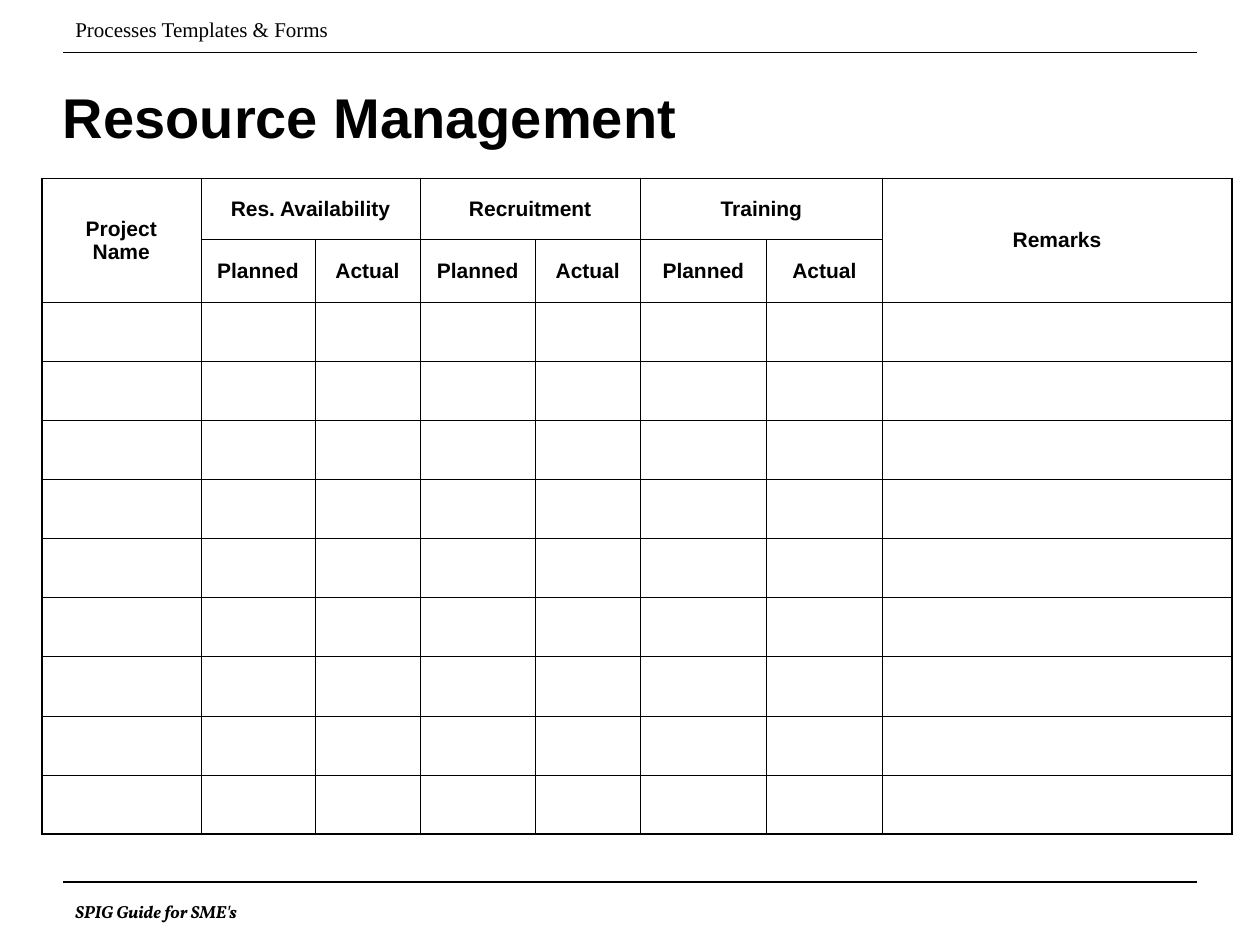
from lxml import etree
from pptx import Presentation
from pptx.dml.color import RGBColor
from pptx.enum.shapes import MSO_CONNECTOR
from pptx.enum.text import MSO_ANCHOR, PP_ALIGN
from pptx.oxml.ns import qn
from pptx.util import Cm, Pt

STRAIGHT = MSO_CONNECTOR.STRAIGHT
MIDDLE, TOP = MSO_ANCHOR.MIDDLE, MSO_ANCHOR.TOP
CENTER = PP_ALIGN.CENTER
COLORS = {"ink": "000000"}

# text, left, top, width, height (cm), font, size, bold, italic, margins (cm), anchor
TEXTS = [
    ("Processes Templates & Forms", 1.27, 0.2, 6.35, 0.76,
     "Times New Roman", 12, False, False, (0.25, 0.13), TOP),
    ("Resource Management", 1.27, 0.76, 22.86, 3.18,
     "Arial", 32, True, False, (0, 0), MIDDLE),
    ("SPIG Guide for SME's", 1.27, 18.03, 6.35, 0.69,
     "Vollkorn", 10, True, True, (0.25, 0.13), TOP),
]
RULE_LEFT, RULE_RIGHT = 1.27, 24.13
RULE_TOPS = [1.06, 17.78]

TABLE_LEFT, TABLE_TOP = 0.84, 3.6
COL_WIDTHS = [3.21, 2.3, 2.12, 2.32, 2.12, 2.54, 2.34, 7.04]
ROW_HEIGHTS = [1.23, 1.01] + [1.19] * 9
FIRST_HEADING, LAST_HEADING = "Project Name", "Remarks"
GROUPS = ["Res. Availability", "Recruitment", "Training"]
SUBHEADINGS = ["Planned", "Actual"]
THIN, THICK = 0.45, 1.08


def color(name):
    return RGBColor.from_string(COLORS[name])


def style(p, font, size, bold, italic=False):
    p.font.name, p.font.size = font, Pt(size)
    p.font.bold, p.font.italic = bold, italic
    p.font.color.rgb = color("ink")


def add_text(slide, text, left, top, width, height, font, size, bold, italic, margins, anchor):
    tf = slide.shapes.add_textbox(Cm(left), Cm(top), Cm(width), Cm(height)).text_frame
    tf.word_wrap = True
    tf.vertical_anchor = anchor
    tf.margin_left = tf.margin_right = Cm(margins[0])
    tf.margin_top = tf.margin_bottom = Cm(margins[1])
    tf.text = text
    style(tf.paragraphs[0], font, size, bold, italic)


def add_rule(slide, top):
    line = slide.shapes.add_connector(STRAIGHT, Cm(RULE_LEFT), Cm(top), Cm(RULE_RIGHT), Cm(top))
    line.line.color.rgb = color("ink")
    line.line.width = Pt(0.75)
    etree.SubElement(line._element.spPr, qn("a:effectLst"))


def set_borders(cell, widths):
    """Draw the left, right, top and bottom borders, widths in points."""
    tcPr = cell._tc.get_or_add_tcPr()
    for i, (side, width) in enumerate(zip("LRTB", widths)):
        ln = etree.Element(qn(f"a:ln{side}"), w=str(Pt(width)))
        fill = etree.SubElement(ln, qn("a:solidFill"))
        etree.SubElement(fill, qn("a:srgbClr"), val=COLORS["ink"])
        tcPr.insert(i, ln)


def set_heading(cell, text, last=None):
    if last is not None:
        cell.merge(last)
    cell.text = text
    p = cell.text_frame.paragraphs[0]
    p.alignment = CENTER
    style(p, "Arial", 12, True)


def add_resource_table(slide):
    n_rows, n_cols = len(ROW_HEIGHTS), len(COL_WIDTHS)
    table = slide.shapes.add_table(
        n_rows, n_cols, Cm(TABLE_LEFT), Cm(TABLE_TOP),
        Cm(sum(COL_WIDTHS)), Cm(sum(ROW_HEIGHTS))).table
    table.first_row = table.horz_banding = False
    for column, width in zip(table.columns, COL_WIDTHS):
        column.width = Cm(width)
    for row, height in zip(table.rows, ROW_HEIGHTS):
        row.height = Cm(height)

    for r in range(n_rows):
        for c in range(n_cols):
            cell = table.cell(r, c)
            cell.fill.background()
            cell.vertical_anchor = MIDDLE
            on_edge = (c == 0, c == n_cols - 1, r == 0, r == n_rows - 1)
            set_borders(cell, [THICK if edge else THIN for edge in on_edge])

    for c, text in ((0, FIRST_HEADING), (n_cols - 1, LAST_HEADING)):
        set_heading(table.cell(0, c), text, table.cell(1, c))
    span = len(SUBHEADINGS)
    for g, group in enumerate(GROUPS):
        start = 1 + g * span
        set_heading(table.cell(0, start), group, table.cell(0, start + span - 1))
        for i, text in enumerate(SUBHEADINGS):
            set_heading(table.cell(1, start + i), text)


def main():
    prs = Presentation()
    prs.slide_width, prs.slide_height = Cm(25.4), Cm(19.05)
    slide = prs.slides.add_slide(prs.slide_layouts[6])
    for top in RULE_TOPS:
        add_rule(slide, top)
    for text in TEXTS:
        add_text(slide, *text)
    add_resource_table(slide)
    prs.save("out.pptx")


if __name__ == "__main__":
    main()
